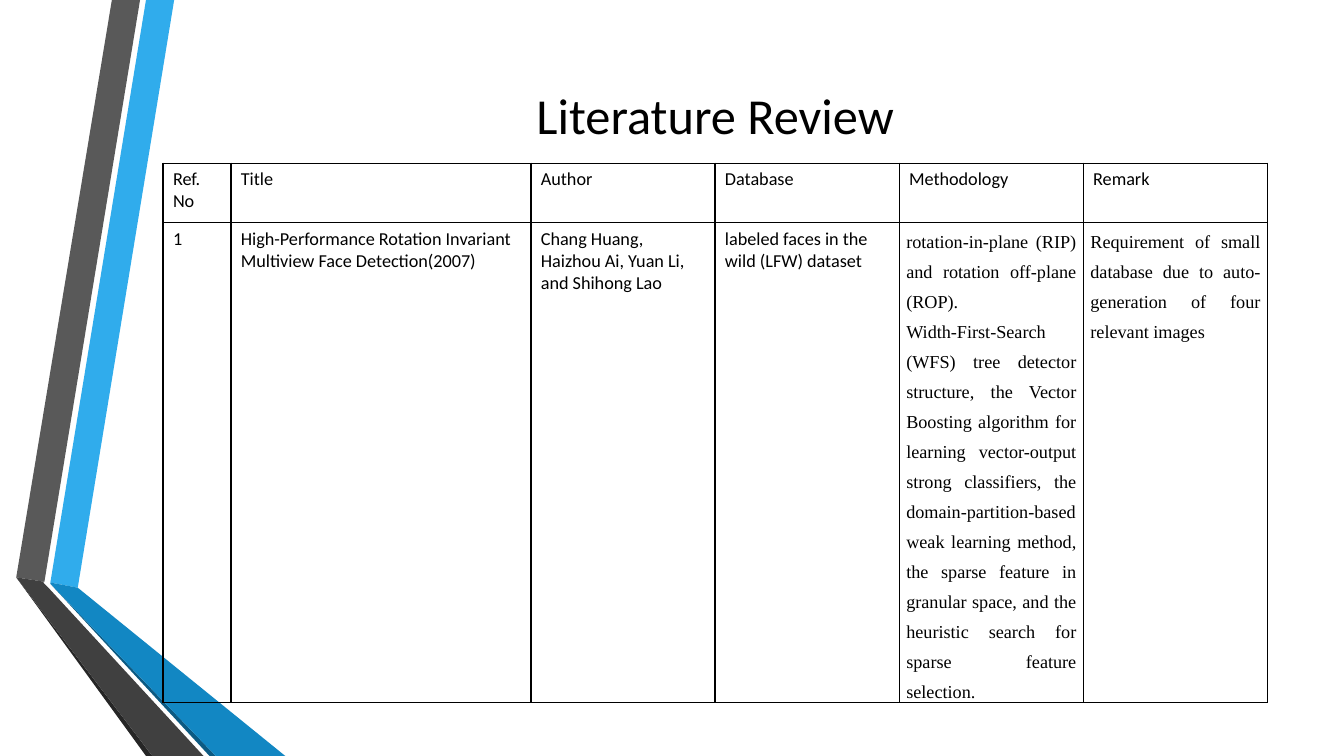
from dataclasses import dataclass

import lxml.etree
import pptx
import pptx.dml.color
import pptx.enum.text
import pptx.oxml.ns
import pptx.shapes.autoshape
import pptx.slide
import pptx.table
import pptx.text.text
import pptx.util

Cm = pptx.util.Cm
Align = pptx.enum.text.PP_ALIGN
Anchor = pptx.enum.text.MSO_ANCHOR


@dataclass(frozen=True)
class Theme:
    ink: str = "000000"
    sky: str = "30ACEC"
    blue: str = "1287C3"
    navy: str = "0C5A82"
    grey: str = "595959"
    charcoal: str = "404040"
    coal: str = "262626"
    sans: str = "Calibri"
    serif: str = "Times New Roman"
    title_size: float = 36
    table_size: float = 13
    border_width: float = 1


@dataclass(frozen=True)
class Ribbon:
    color: str
    points: tuple[tuple[float, float], ...]


@dataclass(frozen=True)
class CellStyle:
    font: str
    align: Align
    line_spacing: float
    side_margin: float
    end_margin: float


@dataclass(frozen=True)
class CellText:
    paragraphs: tuple[str, ...]
    style: CellStyle


THEME = Theme()
WIDTH, HEIGHT = 33.87, 19.05
PLAIN = CellStyle(THEME.sans, Align.LEFT, 1.0, 0.25, 0.13)
JUSTIFIED = CellStyle(THEME.serif, Align.JUSTIFY, 1.5, 0.18, 0)

RIBBONS = (
    Ribbon(THEME.sky, ((1.27, 14.68), (1.96, 14.81), (4.39, 0), (3.68, 0))),
    Ribbon(THEME.grey, ((3.53, 0), (2.82, 0), (0.41, 14.55), (1.12, 14.66))),
    Ribbon(THEME.coal, ((0.41, 14.55), (3.68, HEIGHT), (3.84, HEIGHT))),
    Ribbon(THEME.navy, ((1.27, 14.71), (5.28, HEIGHT), (5.44, HEIGHT))),
    Ribbon(THEME.blue, ((1.27, 14.68), (1.27, 14.71), (5.44, HEIGHT), (7.19, HEIGHT), (1.96, 14.81))),
    Ribbon(
        THEME.charcoal,
        ((5.13, HEIGHT), (1.22, 14.81), (1.09, 14.68), (1.12, 14.66), (0.41, 14.55), (3.84, HEIGHT)),
    ),
)

TABLE_LEFT, TABLE_TOP = 4.11, 4.11
COLUMN_WIDTHS = (1.71, 7.56) + (4.64,) * 4
ROW_HEIGHTS = (1.5, 12.09)
HEADINGS = ("Ref. No", "Title", "Author", "Database", "Methodology", "Remark")
REVIEW_ROWS = (
    tuple(CellText((heading,), PLAIN) for heading in HEADINGS),
    (
        CellText(("1",), PLAIN),
        CellText(("High-Performance Rotation Invariant Multiview Face Detection(2007)",), PLAIN),
        CellText(("Chang Huang, Haizhou Ai, Yuan Li, and Shihong Lao",), PLAIN),
        CellText(("labeled faces in the wild (LFW) dataset",), PLAIN),
        CellText(
            (
                "rotation-in-plane (RIP) and rotation off-plane (ROP).",
                "Width-First-Search (WFS) tree detector structure, the Vector Boosting "
                "algorithm for learning vector-output strong classifiers, the "
                "domain-partition-based weak learning method, the sparse feature in "
                "granular space, and the heuristic search for sparse feature selection.",
            ),
            JUSTIFIED,
        ),
        CellText(
            ("Requirement of small database due to auto-generation of four relevant images",),
            JUSTIFIED,
        ),
    ),
)


def rgb(color: str) -> pptx.dml.color.RGBColor:
    return pptx.dml.color.RGBColor.from_string(color)


def add_run(paragraph: pptx.text.text._Paragraph, text: str, font: str, size: float) -> None:
    run = paragraph.add_run()
    run.text = text
    run.font.name = font
    run.font.size = pptx.util.Pt(size)
    run.font.color.rgb = rgb(THEME.ink)


def draw_ribbon(slide: pptx.slide.Slide, ribbon: Ribbon) -> pptx.shapes.autoshape.Shape:
    start, *rest = [(Cm(x), Cm(y)) for x, y in ribbon.points]
    builder = slide.shapes.build_freeform(*start)
    builder.add_line_segments(rest, close=True)
    shape = builder.convert_to_shape()
    shape.shadow.inherit = False
    shape.fill.solid()
    shape.fill.fore_color.rgb = rgb(ribbon.color)
    shape.line.fill.background()
    return shape


def draw_title(slide: pptx.slide.Slide, text: str) -> None:
    title = slide.shapes.title
    title.left, title.top = Cm(TABLE_LEFT), Cm(1.9)
    title.width, title.height = Cm(sum(COLUMN_WIDTHS)), Cm(1.94)
    title.text_frame.vertical_anchor = Anchor.MIDDLE
    paragraph = title.text_frame.paragraphs[0]
    paragraph.alignment = Align.CENTER
    add_run(paragraph, text, THEME.sans, THEME.title_size)


def draw_borders(cell: pptx.table._Cell) -> None:
    qn = pptx.oxml.ns.qn
    properties = cell._tc.get_or_add_tcPr()
    for position, side in enumerate(("a:lnL", "a:lnR", "a:lnT", "a:lnB")):
        line = lxml.etree.Element(qn(side), w=str(pptx.util.Pt(THEME.border_width)))
        fill = lxml.etree.SubElement(line, qn("a:solidFill"))
        lxml.etree.SubElement(fill, qn("a:srgbClr"), val=THEME.ink)
        properties.insert(position, line)


def fill_cell(cell: pptx.table._Cell, content: CellText) -> None:
    style = content.style
    cell.fill.background()
    cell.margin_left = cell.margin_right = Cm(style.side_margin)
    cell.margin_top = cell.margin_bottom = Cm(style.end_margin)
    cell.vertical_anchor = Anchor.TOP
    frame = cell.text_frame
    for index, text in enumerate(content.paragraphs):
        paragraph = frame.add_paragraph() if index else frame.paragraphs[0]
        paragraph.alignment = style.align
        paragraph.line_spacing = style.line_spacing
        add_run(paragraph, text, style.font, THEME.table_size)
    draw_borders(cell)


def draw_review_table(slide: pptx.slide.Slide) -> None:
    table = slide.shapes.add_table(
        len(ROW_HEIGHTS),
        len(COLUMN_WIDTHS),
        Cm(TABLE_LEFT),
        Cm(TABLE_TOP),
        Cm(sum(COLUMN_WIDTHS)),
        Cm(sum(ROW_HEIGHTS)),
    ).table
    table.first_row = table.horz_banding = False
    for column, width in zip(table.columns, COLUMN_WIDTHS):
        column.width = Cm(width)
    for row, height, contents in zip(table.rows, ROW_HEIGHTS, REVIEW_ROWS):
        row.height = Cm(height)
        for cell, content in zip(row.cells, contents):
            fill_cell(cell, content)


presentation = pptx.Presentation()
presentation.slide_width, presentation.slide_height = Cm(WIDTH), Cm(HEIGHT)
title_only_layout = presentation.slide_layouts[5]
slide = presentation.slides.add_slide(title_only_layout)
for ribbon in RIBBONS:
    draw_ribbon(slide, ribbon)
draw_title(slide, "Literature Review")
draw_review_table(slide)
presentation.save("out.pptx")
